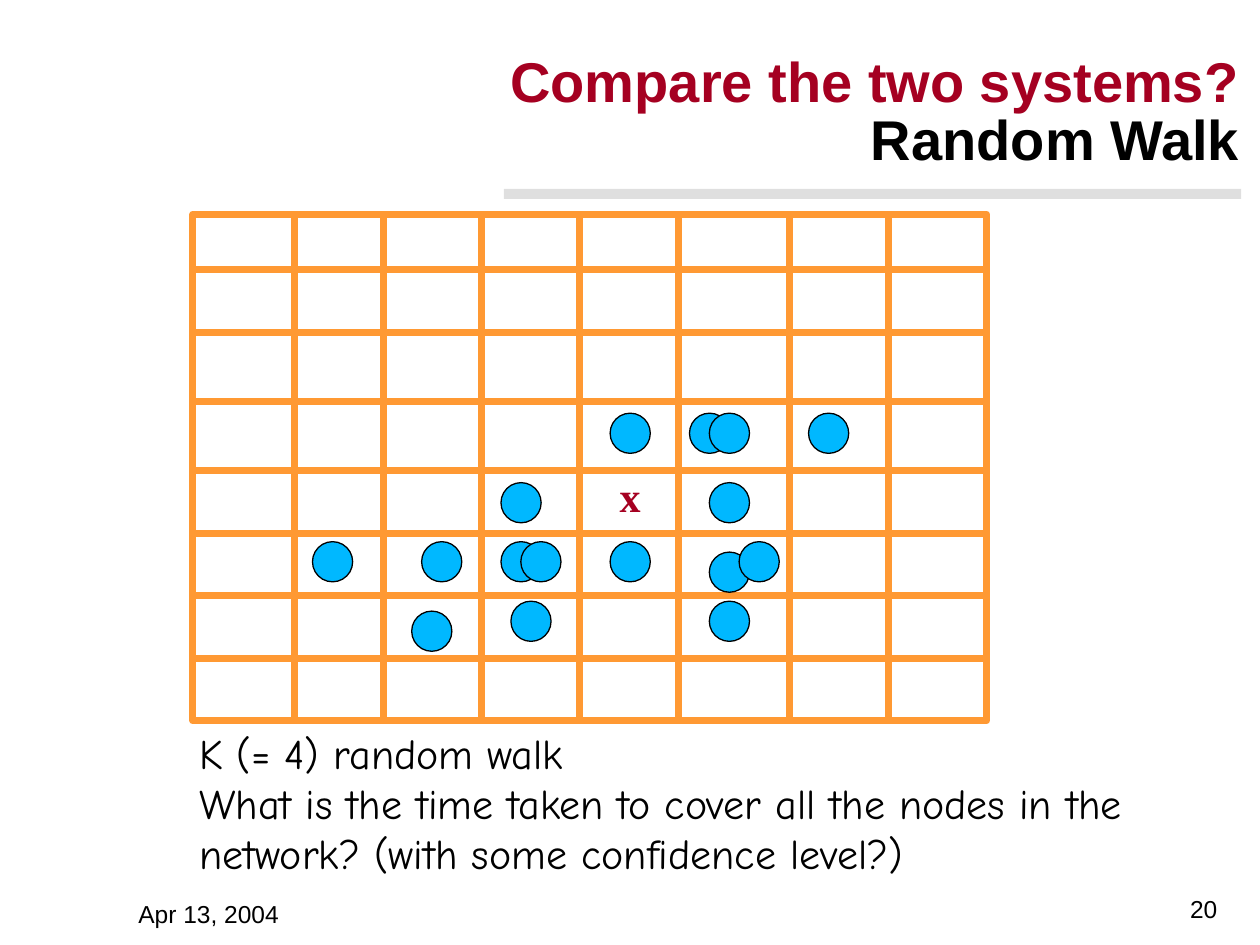
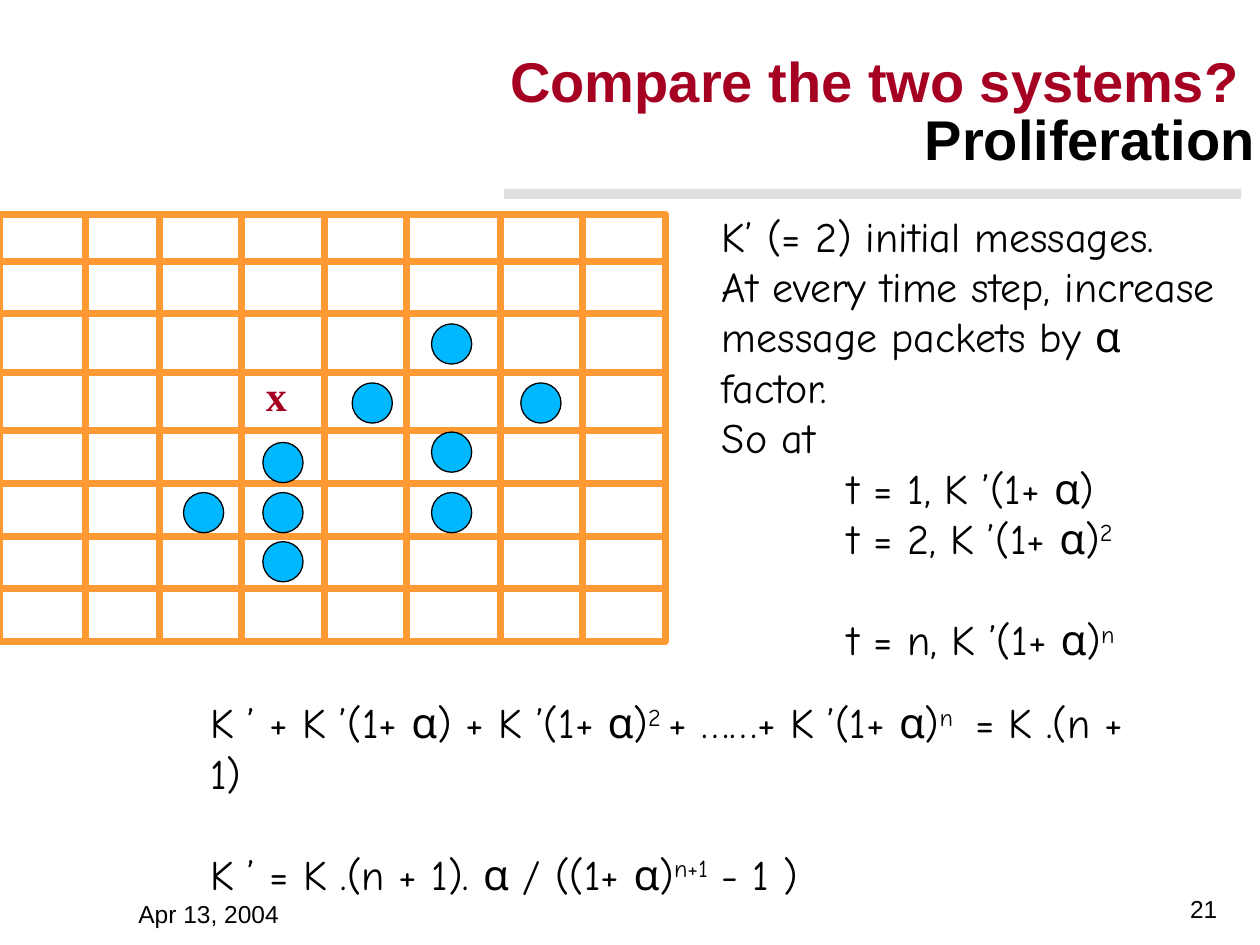
from dataclasses import dataclass
from itertools import accumulate

from lxml import etree
from pptx import Presentation
from pptx import util as u
from pptx.dml.color import RGBColor
from pptx.enum import shapes, text
from pptx.oxml import ns

Cm, Pt = u.Cm, u.Pt


@dataclass(frozen=True)
class Theme:
    ink: str = "000000"
    accent: str = "A50021"
    grid: str = "FF9933"
    walker: str = "00B8FF"
    bar: str = "C0C0C0"
    sans: str = "Arial"
    hand: str = "Comic Neue"
    serif: str = "Times New Roman"
    title_size: float = 32
    title_leading: float = 33.2
    body_size: float = 24
    footer_size: float = 14
    grid_width: float = 4
    outline_width: float = 0.75


@dataclass(frozen=True)
class Line:
    words: str
    indent: float = 0
    gap: float = 0


COLUMN_WEIGHTS = [31, 27, 30, 30, 30, 34, 30, 30]
ROW_WEIGHTS = [8, 9, 10, 10, 9, 9, 9, 9]
GRID_TOP = 4.32
WALKER_SIZE = 0.81
BLANK_LINE = 29
EQUATION_INDENT = 2.54
DATE = "Apr 13, 2004"


def rgb(code):
    return RGBColor.from_string(code)


def inner_edges(start, length, weights):
    return [start + length * part / sum(weights) for part in accumulate(weights[:-1])]


class SlideBuilder:
    def __init__(self, deck, theme):
        self.deck = deck
        self.theme = theme
        self.page = None

    def start(self, heading, number):
        self.page = self.deck.slides.add_slide(self.deck.slide_layouts[1])
        self.bar()
        self.title(f"Compare the two systems? \n{heading}")
        self.footer(DATE, 2.54, 17.98, text.PP_ALIGN.LEFT)
        self.footer(str(number), 19.51, 17.88, text.PP_ALIGN.RIGHT)

    def place(self, box, left, top, width, height):
        box.left, box.top, box.width, box.height = map(Cm, (left, top, width, height))

    def style(self, span, font, size, color, bold=False):
        span.font.name = font
        span.font.size = Pt(size)
        span.font.bold = bold
        span.font.color.rgb = rgb(color)

    def bar(self):
        bar = self.page.shapes.add_shape(
            shapes.MSO_SHAPE.ROUNDED_RECTANGLE, Cm(10.16), Cm(3.81), Cm(14.86), Cm(0.2))
        bar.adjustments[0] = 0.02
        bar.shadow.inherit = False
        bar.line.fill.background()
        bar.fill.solid()
        bar.fill.fore_color.rgb = rgb(self.theme.bar)
        color = bar._element.spPr.find(".//" + ns.qn("a:srgbClr"))
        etree.SubElement(color, ns.qn("a:alpha")).set("val", "50000")

    def title(self, words):
        theme = self.theme
        box = self.page.shapes.title
        self.place(box, -1.09, 1.12, 26.39, 2.36)
        frame = box.text_frame
        frame.text = words
        frame.auto_size = text.MSO_AUTO_SIZE.NONE
        frame.vertical_anchor = text.MSO_ANCHOR.TOP
        frame.margin_left = frame.margin_right = frame.margin_top = frame.margin_bottom = 0
        for para, color in zip(frame.paragraphs, (theme.accent, theme.ink)):
            para.alignment = text.PP_ALIGN.RIGHT
            para.line_spacing = Pt(theme.title_leading)
            self.style(para.runs[0], theme.sans, theme.title_size, color, bold=True)

    def text_box(self, left, top, width, height):
        box = self.page.shapes.add_textbox(Cm(left), Cm(top), Cm(width), Cm(height))
        box.text_frame.word_wrap = True
        return box

    def footer(self, words, left, top, alignment):
        frame = self.text_box(left, top, 5.28, 0.86).text_frame
        frame.text = words
        frame.vertical_anchor = text.MSO_ANCHOR.BOTTOM
        para = frame.paragraphs[0]
        para.alignment = alignment
        self.style(para.runs[0], self.theme.sans, self.theme.footer_size, self.theme.ink)

    def body(self, lines, left, top, width, height):
        box = self.page.placeholders[1]
        self.place(box, left, top, width, height)
        self.fill_lines(box.text_frame, lines)

    def formulas(self, lines, left, top, width, height):
        self.fill_lines(self.text_box(left, top, width, height).text_frame, lines)

    def fill_lines(self, frame, lines):
        frame.word_wrap = True
        frame.auto_size = text.MSO_AUTO_SIZE.NONE
        frame.vertical_anchor = text.MSO_ANCHOR.TOP
        frame.text = "\n".join(line.words.split("^")[0] for line in lines)
        for para, line in zip(frame.paragraphs, lines):
            props = para._p.get_or_add_pPr()
            props.set("marL", str(Cm(line.indent)))
            props.set("indent", "0")
            etree.SubElement(props, ns.qn("a:buNone"))
            para.space_before = Pt(line.gap)
            for words in line.words.split("^")[1:]:
                para.add_run().text = words
            for position, span in enumerate(para.runs):
                self.style(span, self.theme.hand, self.theme.body_size, self.theme.ink)
                if position % 2:
                    span._r.get_or_add_rPr().set("baseline", "30000")

    def grid(self, left, width, height):
        group = self.page.shapes.add_group_shape()
        right, bottom = left + width, GRID_TOP + height
        frame = group.shapes.add_shape(
            shapes.MSO_SHAPE.RECTANGLE, Cm(left), Cm(GRID_TOP), Cm(width), Cm(height))
        frame.shadow.inherit = False
        frame.fill.background()
        self.grid_stroke(frame)
        for x in inner_edges(left, width, COLUMN_WEIGHTS):
            self.grid_line(group, x, GRID_TOP, x, bottom)
        for y in inner_edges(GRID_TOP, height, ROW_WEIGHTS):
            self.grid_line(group, left, y, right, y)

    def grid_line(self, group, *ends):
        line = group.shapes.add_connector(shapes.MSO_CONNECTOR.STRAIGHT, *map(Cm, ends))
        self.grid_stroke(line)
        etree.SubElement(line._element.spPr, ns.qn("a:effectLst"))

    def grid_stroke(self, shape):
        shape.line.color.rgb = rgb(self.theme.grid)
        shape.line.width = Pt(self.theme.grid_width)

    def walkers(self, rows):
        for top, lefts in rows.items():
            for left in lefts:
                dot = self.page.shapes.add_shape(
                    shapes.MSO_SHAPE.OVAL, Cm(left), Cm(top), Cm(WALKER_SIZE), Cm(WALKER_SIZE))
                dot.shadow.inherit = False
                dot.fill.solid()
                dot.fill.fore_color.rgb = rgb(self.theme.walker)
                dot.line.color.rgb = rgb(self.theme.ink)
                dot.line.width = Pt(self.theme.outline_width)

    def origin(self, left, top):
        frame = self.text_box(left, top, 0.91, 1.27).text_frame
        frame.word_wrap = False
        frame.text = "x"
        self.style(frame.paragraphs[0].runs[0], self.theme.serif, self.theme.body_size,
                   self.theme.accent, bold=True)


def random_walk(builder):
    builder.start("Random Walk ", 20)
    builder.grid(3.89, 16, 10.21)
    builder.walkers({
        8.33: [12.3, 13.9, 14.3, 16.3],
        9.73: [10.1, 14.3],
        11.13: [14.3],
        10.92: [6.3, 8.5, 10.1, 10.5, 12.3, 14.9],
        12.12: [10.3, 14.3],
        12.32: [8.3],
    })
    builder.body([
        Line("K (= 4) random walk"),
        Line("What is the time taken to cover all the nodes in the"),
        Line("network? (with some confidence level?)"),
    ], 3.76, 14.53, 19.48, 3.3)
    builder.origin(12.24, 9.37)


def proliferation(builder):
    builder.start("Proliferation", 21)
    builder.grid(0, 13.41, 8.61)
    builder.body([
        Line("K’ (= 2) initial messages."),
        Line("At every time step, increase message packets by α factor."),
        Line("So at"),
        Line("t = 1, K ’(1+ α)", EQUATION_INDENT),
        Line("t = 2, K ’(1+ α)^2", EQUATION_INDENT),
        Line("t = n, K ’(1+ α)^n", EQUATION_INDENT, BLANK_LINE),
    ], 14.3, 4.11, 10.59, 9.4)
    builder.formulas([
        Line("K ’ + K ’(1+ α) + K ’(1+ α)^2 ^+ ……+ K ’(1+ α)^n ^ = K .(n + 1)"),
        Line("K ’ = K .(n + 1). α / ((1+ α)^n+1^ - 1 )", gap=BLANK_LINE),
    ], 3.99, 13.92, 19.66, 4.4)
    builder.walkers({
        6.53: [8.7],
        7.72: [7.1, 10.5],
        8.71: [8.7],
        8.92: [5.3],
        9.93: [3.7, 5.3, 8.7],
        10.92: [5.3],
    })
    builder.origin(5.11, 7.32)


def main():
    deck = Presentation()
    deck.slide_width, deck.slide_height = Cm(25.4), Cm(19.05)
    builder = SlideBuilder(deck, Theme())
    random_walk(builder)
    proliferation(builder)
    deck.save("out.pptx")


if __name__ == "__main__":
    main()
